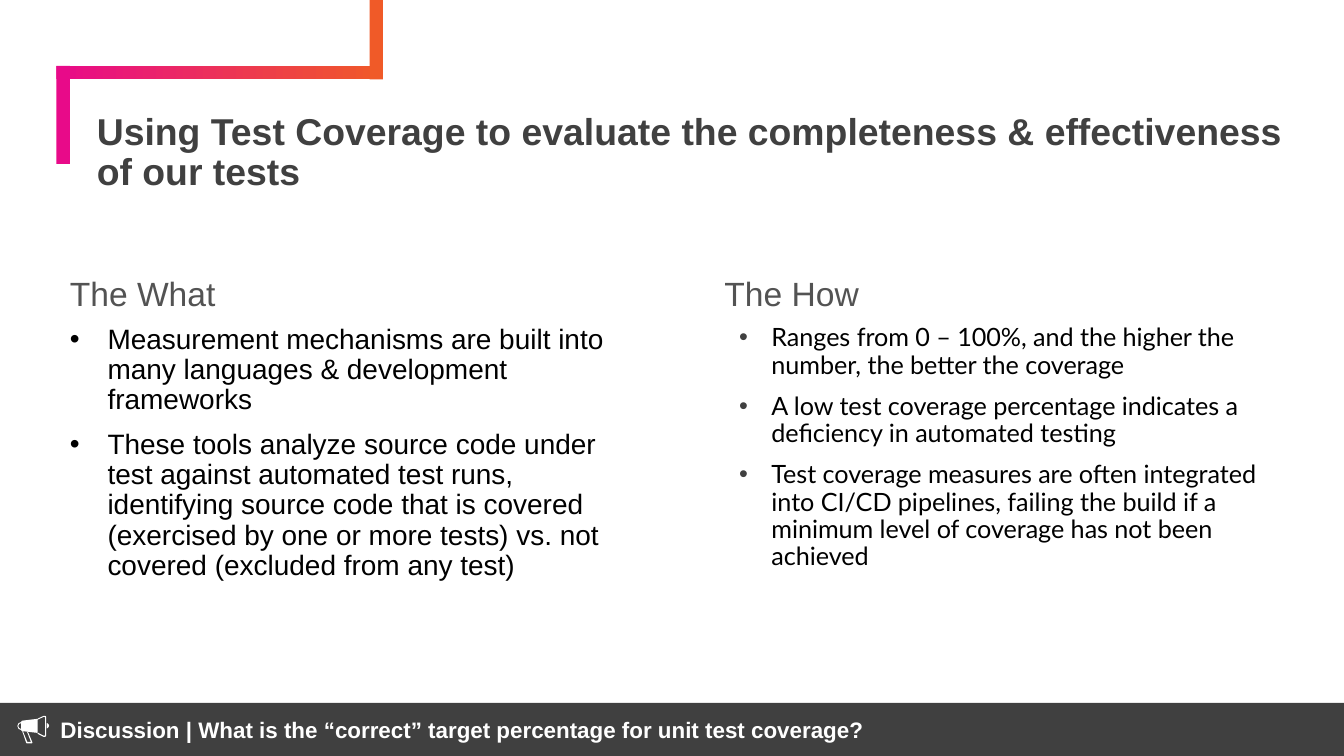
from lxml.etree import SubElement
from pptx import Presentation
from pptx.dml.color import RGBColor
from pptx.enum.shapes import MSO_SHAPE as Shape
from pptx.enum.text import MSO_ANCHOR as Anchor, MSO_AUTO_SIZE as AutoSize, PP_ALIGN as Align
from pptx.oxml.ns import qn
from pptx.util import Inches, Pt

SLIDE_WIDTH = 10
SLIDE_HEIGHT = SLIDE_WIDTH * 9 / 16

COLORS = {
    "magenta": "E80A89",
    "orange": "F05A28",
    "dark": "404040",
    "heading": "535353",
    "black": "000000",
    "white": "FFFFFF",
}


def rgb(name):
    return RGBColor.from_string(COLORS[name])


class SlideBuilder:
    """Holds the style and the current slide."""

    font = "Arial"
    line_spacing = 0.9
    bullet_gap = Pt(7.5)

    def __init__(self, slide):
        self.slide = slide

    def place(self, shape, left, top, width, height):
        shape.left, shape.top = Inches(left), Inches(top)
        shape.width, shape.height = Inches(width), Inches(height)

    def frame(self, shape, anchor, inset_x=0, inset_y=0):
        text_frame = shape.text_frame
        text_frame.word_wrap = True
        text_frame.auto_size = AutoSize.NONE
        text_frame.vertical_anchor = anchor
        text_frame.margin_left = text_frame.margin_right = Inches(inset_x)
        text_frame.margin_top = text_frame.margin_bottom = Inches(inset_y)
        return text_frame

    def format(self, paragraph, size, color, bold=False, font=None):
        paragraph.alignment = Align.LEFT
        for run in paragraph.runs:
            run.font.name = font or self.font
            run.font.size = Pt(size)
            run.font.bold = bold
            run.font.color.rgb = rgb(color)

    def indent(self, paragraph, margin, hanging):
        properties = paragraph._p.get_or_add_pPr()
        properties.set("marL", str(Inches(margin)))
        properties.set("indent", str(-Inches(hanging)))
        return properties

    def text(self, index, box, text, size, color, bold=False, inset=0, spacing=1.0):
        placeholder = self.slide.placeholders[index]
        self.place(placeholder, *box)
        text_frame = self.frame(placeholder, Anchor.BOTTOM, inset, inset)
        text_frame.text = text
        paragraph = text_frame.paragraphs[0]
        paragraph.line_spacing = spacing
        paragraph.space_before = Pt(0)
        self.indent(paragraph, 0, 0)
        self.format(paragraph, size, color, bold)

    def bullets(self, index, box, items, size, margin, hanging, bullet_color, font=None):
        placeholder = self.slide.placeholders[index]
        self.place(placeholder, *box)
        text_frame = self.frame(placeholder, Anchor.TOP)
        text_frame.text = "\n".join(items)
        for number, paragraph in enumerate(text_frame.paragraphs):
            properties = self.indent(paragraph, margin, hanging)
            color = SubElement(properties, qn("a:buClr"))
            SubElement(color, qn("a:srgbClr"), val=COLORS[bullet_color])
            SubElement(properties, qn("a:buFont"), typeface="Arial")
            SubElement(properties, qn("a:buChar"), char="•")
            paragraph.line_spacing = self.line_spacing
            paragraph.space_before = self.bullet_gap if number else Pt(0)
            self.format(paragraph, size, "black", font=font)

    def bar(self, left, top, width, height, color, end_color=None):
        shape = self.slide.shapes.add_shape(Shape.RECTANGLE, 0, 0, 0, 0)
        self.place(shape, left, top, width, height)
        shape.shadow.inherit = False
        shape.line.fill.background()
        if end_color:
            shape.fill.gradient()
            shape.fill.gradient_angle = 0
            for stop, name in zip(shape.fill.gradient_stops, (color, end_color)):
                stop.color.rgb = rgb(name)
        else:
            shape.fill.solid()
            shape.fill.fore_color.rgb = rgb(color)
        return shape

    def banner(self, box, text):
        shape = self.bar(*box, "dark")
        text_frame = self.frame(shape, Anchor.MIDDLE, 0.07, 0.04)
        text_frame.text = text
        paragraph = text_frame.paragraphs[0]
        self.indent(paragraph, 0.38, 0)
        self.format(paragraph, 12, "white", bold=True)

    def icon(self, contours, color):
        """Draw closed contours given in thousandths of an inch."""
        start, *_ = contours[0]
        builder = self.slide.shapes.build_freeform(*start, scale=Inches(1) / 1000)
        for number, (first, *rest) in enumerate(contours):
            if number:
                builder.move_to(*first)
            builder.add_line_segments(rest, close=True)
        shape = builder.convert_to_shape()
        shape.shadow.inherit = False
        shape.fill.solid()
        shape.fill.fore_color.rgb = rgb(color)
        shape.line.fill.background()


MEGAPHONE = [
    # Handle
    [(165, 5440), (173, 5446), (203, 5520), (230, 5520), (202, 5448), (210, 5449),
     (242, 5526), (237, 5532), (200, 5532), (195, 5528)],
    # Sound button
    [(350, 5380), (361, 5388), (365, 5400), (361, 5412), (350, 5420)],
    # Rear cap
    [(160, 5372), (160, 5380), (143, 5386), (136, 5402), (143, 5418), (160, 5425),
     (160, 5433), (138, 5424), (129, 5402), (138, 5381)],
    # Body
    [(275, 5349), (281, 5353), (281, 5449), (275, 5453), (163, 5440), (158, 5434),
     (158, 5370), (164, 5363)],
    # Horn rim
    [(330, 5326), (340, 5328), (344, 5336), (344, 5472), (340, 5481), (330, 5484),
     (322, 5482), (280, 5460), (282, 5452), (328, 5476), (336, 5470), (336, 5338),
     (328, 5333), (282, 5354), (280, 5347), (322, 5328)],
]


def main():
    presentation = Presentation()
    presentation.slide_width = Inches(SLIDE_WIDTH)
    presentation.slide_height = Inches(SLIDE_HEIGHT)
    slide = presentation.slides.add_slide(presentation.slide_layouts.get_by_name("Comparison"))
    builder = SlideBuilder(slide)

    # Corner ribbon
    builder.bar(0.42, 0.49, 2.43, 0.1, "magenta", "orange")
    builder.bar(0.42, 0.49, 0.1, 0.73, "magenta")
    builder.bar(2.75, 0, 0.1, 0.59, "orange")

    # Title
    builder.text(0, (0.67, 0.78, 9.03, 0.71),
                 "Using Test Coverage to evaluate the completeness & effectiveness of our tests",
                 20, "dark", bold=True, inset=0.05, spacing=builder.line_spacing)

    # Two columns
    left_column, right_column, width = 0.52, 5.39, 4.1
    for index, left, heading in ((1, left_column, "The What"), (3, right_column, "The How")):
        builder.text(index, (left, 1.96, width, 0.37), heading, 18, "heading")
    builder.bullets(2, (left_column, 2.42, width, 2.39), [
        "Measurement mechanisms are built into many languages & development frameworks",
        "These tools analyze source code under test against automated test runs, identifying "
        "source code that is covered (exercised by one or more tests) vs. not covered "
        "(excluded from any test)",
    ], 15, 0.28, 0.28, "black")
    builder.bullets(4, (right_column, 2.42, width, 2.39), [
        "Ranges from 0 – 100%, and the higher the number, the better the coverage",
        "A low test coverage percentage indicates a deficiency in automated testing",
        "Test coverage measures are often integrated into CI/CD pipelines, failing the build "
        "if a minimum level of coverage has not been achieved",
    ], 13.5, 0.35, 0.24, "dark", font="Lato")

    # Discussion banner, down to the slide's bottom edge
    banner_top = 5.23
    builder.banner((0, banner_top, SLIDE_WIDTH, SLIDE_HEIGHT - banner_top),
                   "Discussion | What is the “correct” target percentage for unit test coverage?")
    builder.icon(MEGAPHONE, "white")

    presentation.save("out.pptx")


if __name__ == "__main__":
    main()
